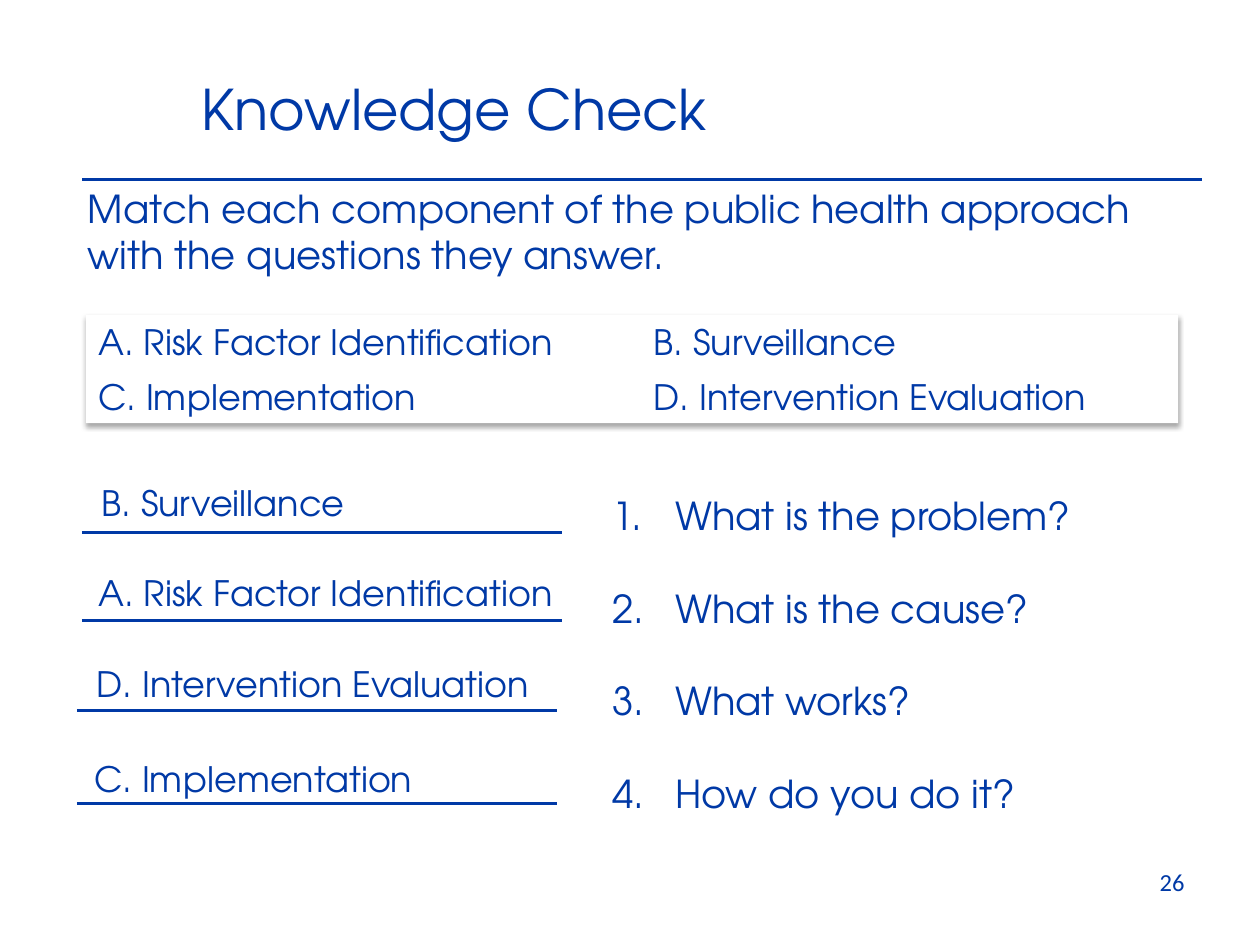
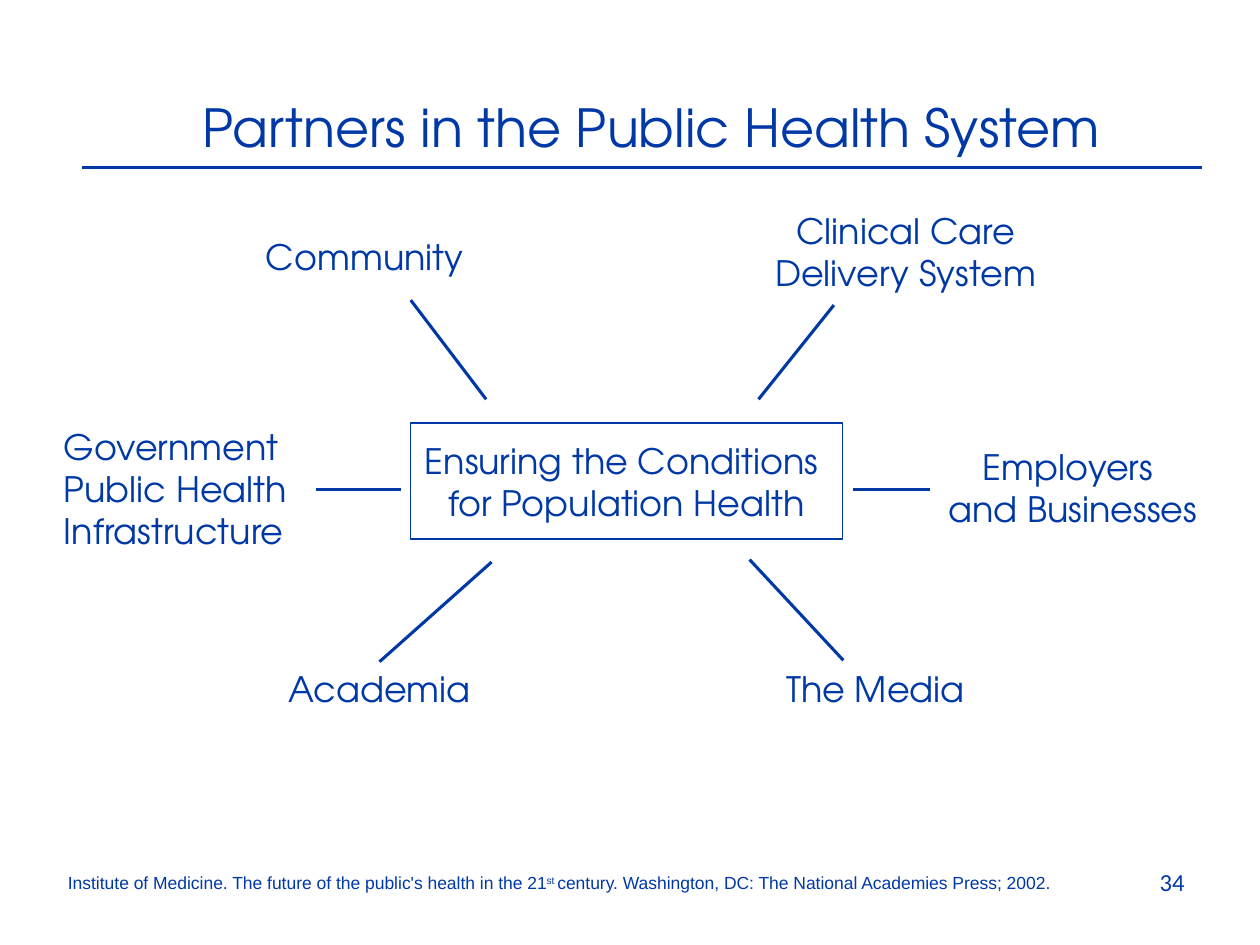
from lxml.etree import SubElement as SubEl
from pptx import Presentation
from pptx.dml.color import RGBColor as RGB
from pptx.enum.shapes import MSO_CONNECTOR as CONN, MSO_SHAPE as SHAPE
from pptx.enum.text import MSO_ANCHOR as ANCHOR, MSO_AUTO_SIZE as AUTO, PP_ALIGN as ALIGN
from pptx.oxml.ns import qn
from pptx.util import Cm, Pt

BLUE = "0039A6"
WHITE = "FFFFFF"
FONT = "TeX Gyre Adventor"
RULE_X, RULE_W = 1.66, 22.58
ANSWER_W = 9.68

CHOICES = ["A. Risk Factor Identification", "B. Surveillance",
           "C. Implementation", "D. Intervention Evaluation"]
CHOICE_COLS, CHOICE_ROWS = (1.73, 12.93), (6.34, 7.45)
QUESTIONS = ["What is the problem?", "What is the cause?",
             "What works?", "How do you do it?"]
ANSWERS = [
    (1, 1.8, 9.58, 1.65, 10.74),
    (0, 1.73, 11.4, 1.65, 12.5),
    (3, 1.7, 13.23, 1.55, 14.33),
    (2, 1.65, 15.14, 1.55, 16.2),
]
PARTNERS = [
    ("Community", (5.11, 4.62, 4.52, 1.12), ALIGN.LEFT),
    ("Clinical Care\vDelivery System", (15.34, 4.09, 5.84, 1.96), ALIGN.CENTER),
    ("Government\vPublic Health\vInfrastructure", (1.04, 8.46, 5.05, 2.82), ALIGN.LEFT),
    ("Employers \nand Businesses", (18.85, 8.86, 5.56, 1.96), ALIGN.CENTER),
    ("The Media", (15.6, 13.34, 4.14, 1.12), ALIGN.LEFT),
    ("Academia", (5.56, 13.34, 4.24, 1.12), ALIGN.LEFT),
]
SPOKES = [
    (18.75, 9.86, 17.2, 9.86),
    (8.08, 9.86, 6.38, 9.86),
    (8.28, 6.05, 9.8, 8.05),
    (15.11, 11.28, 17, 13.31),
    (16.81, 6.15, 15.29, 8.05),
    (9.91, 11.33, 7.65, 13.34),
]


def color(value):
    return RGB.from_string(value)


def style_run(r, size, font=FONT):
    r.font.size = Pt(size)
    r.font.name = font
    r.font.color.rgb = color(BLUE)


def write(tf, text, size=20, font=FONT, align=ALIGN.LEFT, wrap=True,
          anchor=ANCHOR.TOP, gap=0, numbered=False):
    tf.auto_size = AUTO.NONE
    tf.word_wrap = wrap
    tf.vertical_anchor = anchor
    for i, line in enumerate(text.split("\n")):
        p = tf.add_paragraph() if i else tf.paragraphs[0]
        p.text = line
        p.alignment = align
        p.space_before = Pt(gap if i else 0)
        if numbered:
            pPr = p._p.get_or_add_pPr()
            pPr.set("marL", str(Cm(1.27)))
            pPr.set("indent", str(-Cm(1.27)))
            SubEl(pPr, qn("a:buFont"), typeface="+mj-lt")
            SubEl(pPr, qn("a:buAutoNum"), type="arabicPeriod")
        for r in p.runs:
            style_run(r, size, font)
    return tf


def add_text(s, text, box, **fmt):
    return write(s.shapes.add_textbox(*map(Cm, box)).text_frame, text, **fmt)


def fill_placeholder(sp, text, box, **fmt):
    sp.left, sp.top, sp.width, sp.height = map(Cm, box)
    write(sp.text_frame, text, **fmt)


def add_line(s, x1, y1, x2, y2):
    line = s.shapes.add_connector(CONN.STRAIGHT, *map(Cm, (x1, y1, x2, y2)))
    line.line.color.rgb = color(BLUE)
    line.line.width = Pt(1.75)
    SubEl(line._element.spPr, qn("a:effectLst"))


def add_box(s, box, outline=None):
    sp = s.shapes.add_shape(SHAPE.RECTANGLE, *map(Cm, box))
    sp.fill.solid()
    sp.fill.fore_color.rgb = color(WHITE)
    if outline:
        sp.line.color.rgb = color(outline)
        sp.line.width = Pt(0.75)
    else:
        sp.line.fill.background()
    sp.shadow.inherit = False
    return sp


def add_soft_shadow(sp):
    effects = sp._element.spPr.find(qn("a:effectLst"))
    shadow = SubEl(effects, qn("a:outerShdw"), blurRad=str(Pt(3.1)),
                   dist=str(Pt(1.8)), dir="5400000", rotWithShape="0")
    black = SubEl(shadow, qn("a:srgbClr"), val="000000")
    SubEl(black, qn("a:alpha"), val="35000")


def new_slide(prs, layout, title, box, size, align, rule_y, number):
    s = prs.slides.add_slide(prs.slide_layouts[layout])
    fill_placeholder(s.shapes.title, title, box, size=size, align=align)
    add_line(s, RULE_X, rule_y, RULE_X + RULE_W, rule_y)
    add_text(s, number, (18.21, 17.35, 5.92, 1.32), size=14,
             font="Calibri", align=ALIGN.RIGHT)
    return s


def knowledge_check(prs):
    s = new_slide(prs, 1, "Knowledge Check", (3.81, 1.37, 10.8, 1.63), 32,
                  ALIGN.LEFT, 3.61, "26")
    add_text(s, "Match each component of the public health approach "
             "with the questions they answer.", (1.52, 3.61, 22.4, 2.13), size=22)
    add_soft_shadow(add_box(s, (1.73, 6.35, 22.02, 2.18)))
    for i, choice in enumerate(CHOICES):
        row, col = divmod(i, 2)
        add_text(s, choice, (CHOICE_COLS[col], CHOICE_ROWS[row], 10.34, 1.12))
    fill_placeholder(s.placeholders[1], "\n".join(QUESTIONS),
                     (12.09, 9.8, 11.2, 6.83), size=22, gap=26.4, numbered=True)
    for choice, x, y, line_x, line_y in ANSWERS:
        add_text(s, CHOICES[choice], (x, y, 10, 1.12))
        add_line(s, line_x, line_y, line_x + ANSWER_W, line_y)


def partners(prs):
    s = new_slide(prs, 5, "Partners in the Public Health System",
                  (1.8, 1.78, 22.66, 1.55), 30, ALIGN.CENTER, 3.38, "34")
    hub = add_box(s, (8.28, 8.53, 8.71, 2.34), outline=BLUE)
    write(hub.text_frame, "Ensuring the Conditions \vfor Population Health",
          align=ALIGN.CENTER, wrap=False, anchor=ANCHOR.MIDDLE)
    for name, box, align in PARTNERS:
        add_text(s, name, box, align=align, wrap=False)
    for spoke in SPOKES:
        add_line(s, *spoke)
    tf = add_text(s, "Institute of Medicine. The future of the public's health in the 21",
                  (1.12, 17.45, 21.64, 0.69), size=10, font="Arial")
    for text, raised in (("st ", True),
                         ("century. Washington, DC: The National Academies Press; 2002.", False)):
        r = tf.paragraphs[0].add_run()
        r.text = text
        style_run(r, 10, "Arial")
        if raised:
            r.font._element.set("baseline", "30000")


def main():
    prs = Presentation()
    prs.slide_width, prs.slide_height = Cm(25.4), Cm(19.05)
    knowledge_check(prs)
    partners(prs)
    prs.save("out.pptx")


if __name__ == "__main__":
    main()
